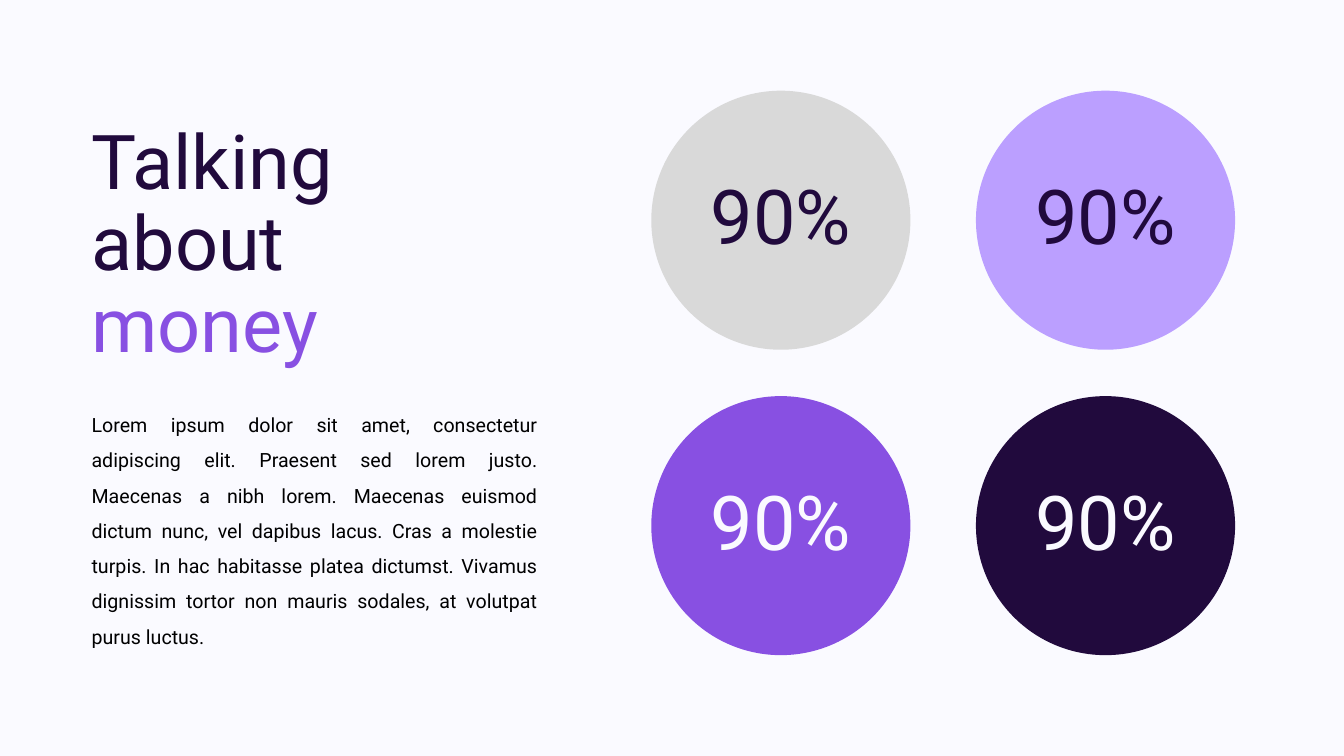
from pptx import Presentation
from pptx.dml.color import RGBColor
from pptx.enum.shapes import MSO_SHAPE as Preset
from pptx.enum.text import MSO_ANCHOR as Anchor, PP_ALIGN as Align
from pptx.util import Inches, Pt

FONT = "Roboto"
PALE = RGBColor(0xFA, 0xFA, 0xFF)
BLACK = RGBColor(0x00, 0x00, 0x00)
GREY = RGBColor(0xD9, 0xD9, 0xD9)
LILAC = RGBColor(0xBB, 0x9F, 0xFF)
VIOLET = RGBColor(0x88, 0x50, 0xE2)
DARK = RGBColor(0x21, 0x0A, 0x3D)

BODY = (
    "Lorem ipsum dolor sit amet, consectetur adipiscing elit. "
    "Praesent sed lorem justo. Maecenas a nibh lorem. Maecenas euismod "
    "dictum nunc, vel dapibus lacus. Cras a molestie turpis. In hac "
    "habitasse platea dictumst. Vivamus dignissim tortor non mauris "
    "sodales, at volutpat purus luctus."
)
CIRCLES = [
    [("90%", GREY, DARK), ("90%", LILAC, DARK)],
    [("90%", VIOLET, PALE), ("90%", DARK, PALE)],
]


def add_filled(slide, preset, left, top, width, height, color):
    shape = slide.shapes.add_shape(
        preset, Inches(left), Inches(top), Inches(width), Inches(height))
    shape.shadow.inherit = False
    shape.fill.solid()
    shape.fill.fore_color.rgb = color
    shape.line.fill.background()


def add_text(slide, lines, left, top, width, height, *, size=54,
             align=Align.LEFT, anchor=Anchor.MIDDLE, spacing=0.9):
    text_box = slide.shapes.add_textbox(
        Inches(left), Inches(top), Inches(width), Inches(height))
    frame = text_box.text_frame
    frame.word_wrap = True
    frame.vertical_anchor = anchor
    paragraph = frame.paragraphs[0]
    paragraph.alignment = align
    paragraph.line_spacing = spacing
    paragraph.font.size = Pt(size)
    for index, (text, color) in enumerate(lines):
        if index:
            paragraph.add_line_break()
        run = paragraph.add_run()
        run.text = text
        run.font.name = FONT
        run.font.size = Pt(size)
        run.font.color.rgb = color


def add_story(slide, left, top, width):
    title = [("Talking", DARK), ("about", DARK), ("money", VIOLET)]
    add_text(slide, title, left, top, 3.15, 2.57)
    add_text(slide, [(BODY, BLACK)], left, top + 2.77, width, 2.75, size=14,
             align=Align.JUSTIFY, anchor=Anchor.TOP, spacing=1.5)


def add_circle_grid(slide, left, top, width, height):
    diameter, label_width, label_height = 2.57, 1.77, 0.97
    for row, circles in enumerate(CIRCLES):
        for column, (label, fill, color) in enumerate(circles):
            x = left + column * (width - diameter)
            y = top + row * (height - diameter)
            add_filled(slide, Preset.OVAL, x, y, diameter, diameter, fill)
            add_text(slide, [(label, color)],
                     x + (diameter - label_width) / 2,
                     y + (diameter - label_height) / 2,
                     label_width, label_height, align=Align.CENTER)


def main():
    presentation = Presentation()
    presentation.slide_width = Inches(13.33)
    presentation.slide_height = Inches(7.5)
    slide = presentation.slides.add_slide(presentation.slide_layouts[6])
    add_filled(slide, Preset.RECTANGLE, 0, 0, 13.33, 7.5, PALE)
    add_story(slide, 0.81, 1.16, 4.62)
    add_circle_grid(slide, 6.46, 0.9, 5.79, 5.6)
    presentation.save("out.pptx")


if __name__ == "__main__":
    main()
